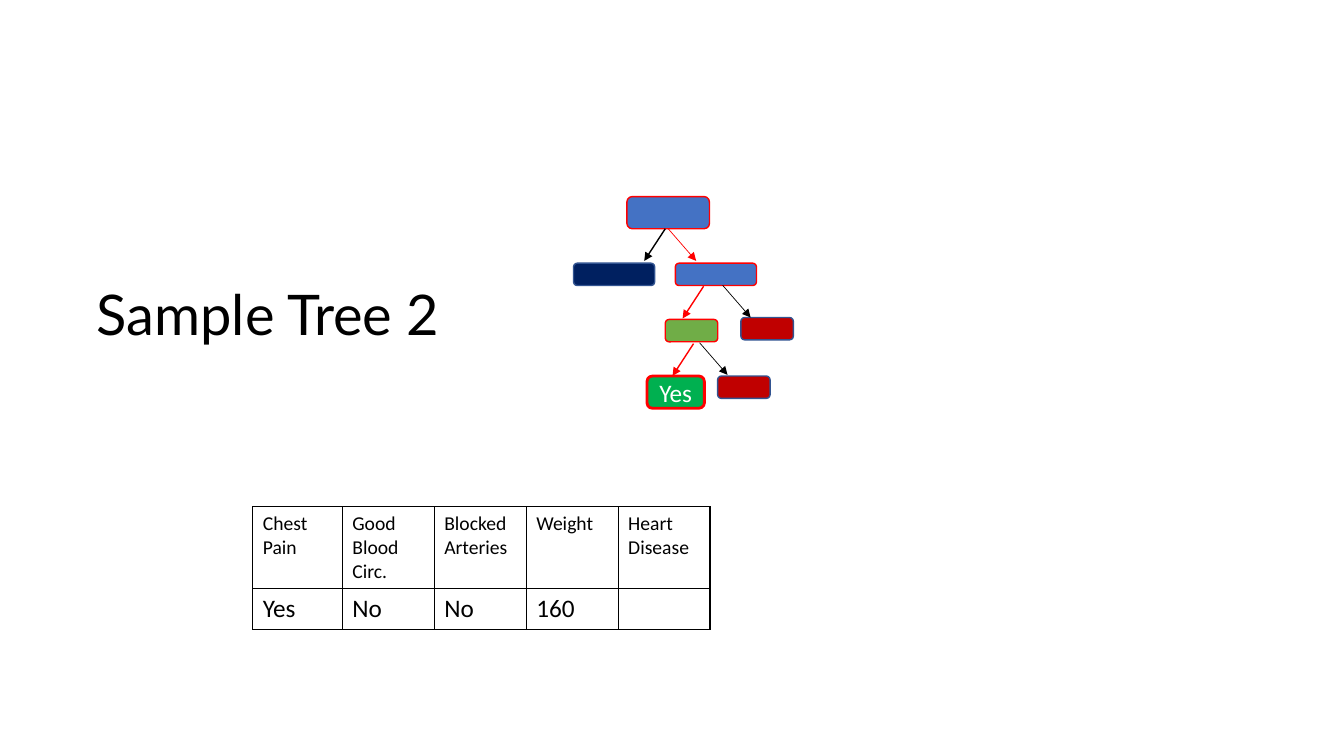
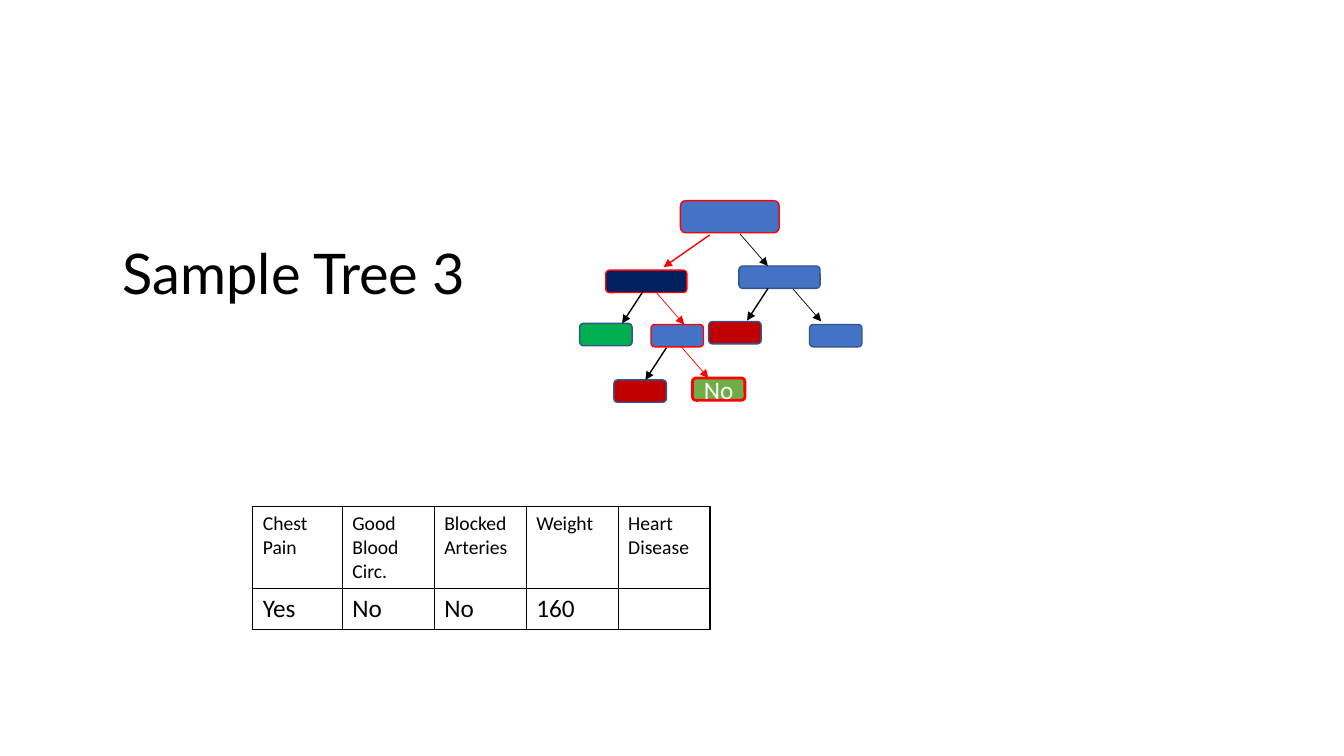
from dataclasses import dataclass

import lxml.etree
import pptx
import pptx.dml.color
import pptx.enum.shapes
import pptx.enum.text
import pptx.oxml
import pptx.oxml.ns
import pptx.util

Pt = pptx.util.Pt
MSO_SHAPE = pptx.enum.shapes.MSO_SHAPE
ALIGN = pptx.enum.text.PP_ALIGN
MIDDLE = pptx.enum.text.MSO_ANCHOR.MIDDLE


@dataclass(frozen=True)
class Theme:
    black: str = "000000"
    white: str = "FFFFFF"
    red: str = "FF0000"
    outline: str = "325491"
    blue: str = "4472C4"
    navy: str = "002060"
    crimson: str = "C00000"
    lime: str = "70AD47"
    green: str = "00B050"
    title_font: str = "Lato"
    body_font: str = "Calibri"
    title_size: int = 40
    header_size: int = 14
    body_size: int = 18


T = Theme()


def rgb(value):
    return pptx.dml.color.RGBColor.from_string(value)


def format_text(tf, font, size, color, align):
    for p in tf.paragraphs:
        p.alignment = align
        for r in p.runs:
            for name, value in {"name": font, "size": Pt(size), "bold": False}.items():
                setattr(r.font, name, value)
            r.font.color.rgb = rgb(color)


BIG, WIDE, NARROW = (59, 23), (58, 16), (37.5, 16)
TITLE_SIZE = (307.5, 55.5)
LEFT, RIGHT, FAR_LEFT = -15, 20, -33
ARROW_DROP = 23

# Nodes: x, y, size, fill, on the decision path, answer.
# Arrows: x, y, horizontal run, on the decision path, index of a joined parent.
TREES = [
    {
        "title": "Sample Tree 2",
        "title_at": (62, 196),
        "nodes": [
            (447.8, 140.4, BIG, T.blue, True, ""),
            (482.4, 188, WIDE, T.blue, True, ""),
            (409.7, 188, WIDE, T.navy, False, ""),
            (529.2, 226.8, NARROW, T.crimson, False, ""),
            (475.2, 228.2, NARROW, T.lime, True, ""),
            (512.6, 268.6, NARROW, T.crimson, False, ""),
            (462.2, 268.6, (41, 23), T.green, True, "Yes"),
        ],
        "arrows": [
            (477.3, 163.4, RIGHT, True, 0),
            (475.2, 163.4, LEFT, False, None),
            (516.2, 203.8, RIGHT, False, None),
            (502.6, 204.5, LEFT, True, None),
            (495.4, 245.5, LEFT, True, None),
            (499.7, 244.8, RIGHT, False, None),
        ],
    },
    {
        "title": "Sample Tree 3",
        "title_at": (80.6, 166.3),
        "nodes": [
            (486, 143.3, (70.6, 23), T.blue, True, ""),
            (527.8, 190, WIDE, T.blue, False, ""),
            (432.7, 193, WIDE, T.navy, True, ""),
            (506.2, 229.7, NARROW, T.crimson, False, ""),
            (578.2, 231.8, NARROW, T.blue, False, ""),
            (465, 231.8, NARROW, T.blue, True, ""),
            (414, 231, NARROW, T.green, False, ""),
            (438.5, 271.4, NARROW, T.crimson, False, ""),
            (494.6, 270, NARROW, T.lime, True, "No"),
        ],
        "arrows": [
            (528.5, 167, RIGHT, False, None),
            (507, 167.8, FAR_LEFT, True, None),
            (566.6, 206.6, RIGHT, False, None),
            (468.7, 208.8, RIGHT, True, None),
            (548.6, 206, LEFT, False, None),
            (459.4, 208, LEFT, False, None),
            (476, 248.4, LEFT, False, None),
            (486, 247, RIGHT, True, None),
        ],
    },
]

PATIENT = [
    ["Chest Pain", "Good\nBlood\nCirc.", "Blocked\nArteries", "Weight", "Heart\nDisease"],
    ["Yes", "No", "No", "160", ""],
]
COLUMN_WIDTHS = [64] + [65.7] * 4
ROW_HEIGHTS = [58, 29]
ROW_SIZES = [T.header_size, T.body_size]

prs = pptx.Presentation()
prs.slide_width, prs.slide_height = Pt(960), Pt(540)

for tree in TREES:
    s = prs.slides.add_slide(prs.slide_layouts[5])

    title = s.shapes.title
    x, y = tree["title_at"]
    w, h = TITLE_SIZE
    for name, value in {"left": x, "top": y, "width": w, "height": h}.items():
        setattr(title, name, Pt(value))
    tf = title.text_frame
    tf.text = tree["title"]
    tf.word_wrap = True
    tf.auto_size = pptx.enum.text.MSO_AUTO_SIZE.NONE
    tf.vertical_anchor = MIDDLE
    format_text(tf, T.title_font, T.title_size, T.black, ALIGN.LEFT)

    table = s.shapes.add_table(
        len(PATIENT), len(COLUMN_WIDTHS), Pt(180.5), Pt(362),
        Pt(sum(COLUMN_WIDTHS)), Pt(sum(ROW_HEIGHTS))).table
    table.first_row = table.horz_banding = False
    for column, width in zip(table.columns, COLUMN_WIDTHS):
        column.width = Pt(width)
    for i, (row, values) in enumerate(zip(table.rows, PATIENT)):
        row.height = Pt(ROW_HEIGHTS[i])
        for cell, value in zip(row.cells, values):
            cell.text = value
            format_text(cell.text_frame, T.body_font, ROW_SIZES[i], T.black, ALIGN.LEFT)
            tcPr = cell._tc.get_or_add_tcPr()
            for side in "LRTB":
                tcPr.append(pptx.oxml.parse_xml(
                    f'<a:ln{side} {pptx.oxml.ns.nsdecls("a")} w="{Pt(1)}"><a:solidFill>'
                    f'<a:srgbClr val="{T.black}"/></a:solidFill></a:ln{side}>'))
            cell.fill.background()

    nodes = []
    for x, y, (w, h), fill, on_path, answer in tree["nodes"]:
        sp = s.shapes.add_shape(MSO_SHAPE.ROUNDED_RECTANGLE, Pt(x), Pt(y), Pt(w), Pt(h))
        sp.shadow.inherit = False
        sp.fill.solid()
        sp.fill.fore_color.rgb = rgb(fill)
        sp.line.color.rgb = rgb(T.red if on_path else T.outline)
        sp.line.width = Pt(2 if answer else 1)
        if answer:
            tf = sp.text_frame
            tf.text = answer
            tf.word_wrap = False
            tf.vertical_anchor = MIDDLE
            format_text(tf, T.body_font, T.body_size, T.white, ALIGN.CENTER)
        nodes.append(sp)

    for x, y, run, on_path, parent in tree["arrows"]:
        arrow = s.shapes.add_connector(
            pptx.enum.shapes.MSO_CONNECTOR.STRAIGHT,
            Pt(x), Pt(y), Pt(x + run), Pt(y + ARROW_DROP))
        if parent is not None:
            arrow.begin_connect(nodes[parent], 2)
        arrow.line.color.rgb = rgb(T.red if on_path else T.black)
        arrow.line.width = Pt(1 if run < 0 else 0.5)
        ln = arrow.line._get_or_add_ln()
        lxml.etree.SubElement(ln, pptx.oxml.ns.qn("a:tailEnd"), type="triangle")
        lxml.etree.SubElement(arrow._element.spPr, pptx.oxml.ns.qn("a:effectLst"))

prs.save("out.pptx")
